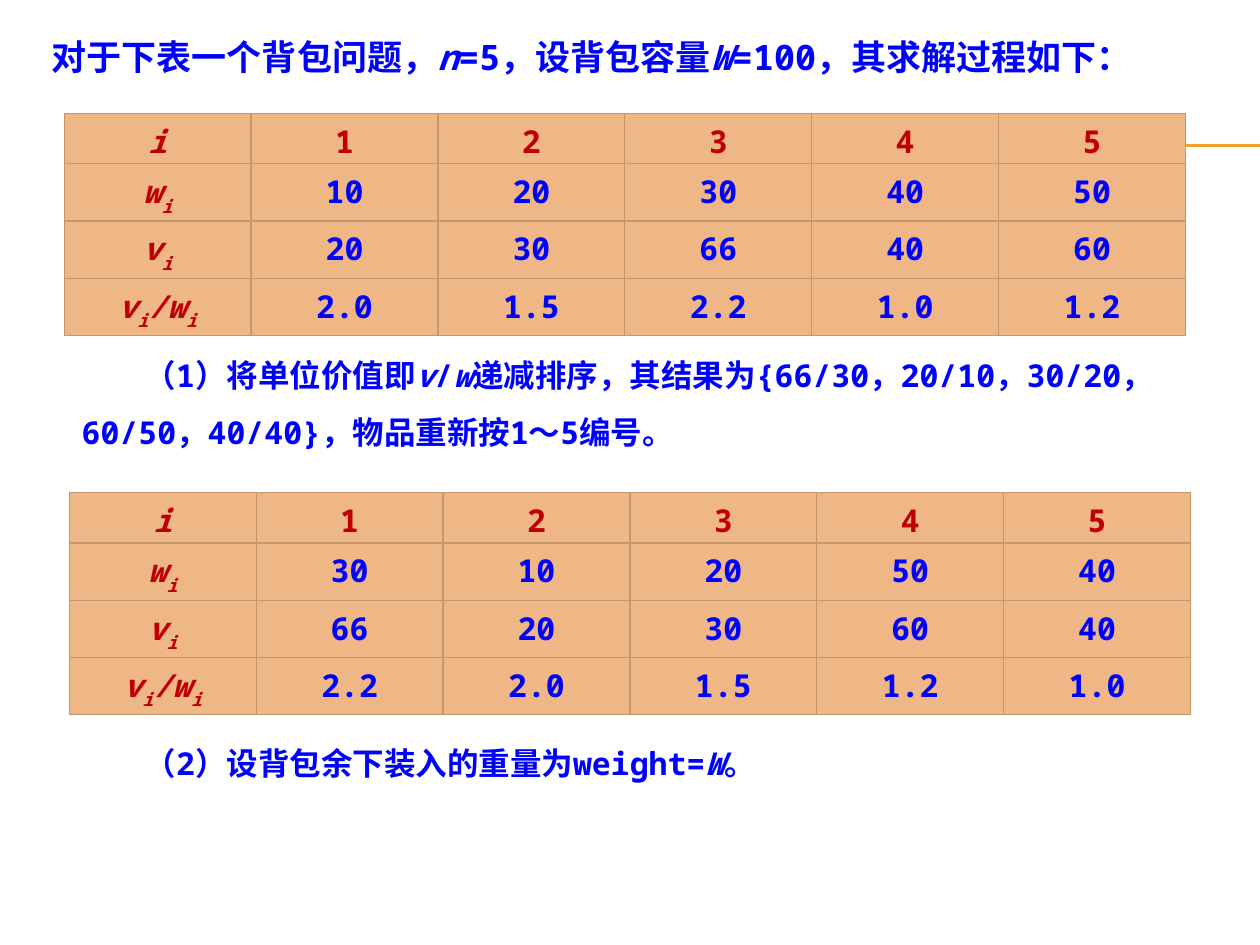
from lxml.etree import SubElement
from pptx import Presentation
from pptx.dml.color import RGBColor
from pptx.enum.shapes import MSO_CONNECTOR
from pptx.enum.text import MSO_ANCHOR, MSO_AUTO_SIZE, PP_ALIGN
from pptx.oxml.ns import qn
from pptx.util import Inches, Pt

BLUE, RED, PEACH, BROWN, GOLD = "0000FF", "C00000", "EFB686", "C3986D", "F0A22E"
FONT = "Noto Sans Mono"

# Text pieces alternate: upright, italic, upright, ...
HEADING = ("对于下表一个背包问题，", "n", "=5，设背包容量", "W", "=100，其求解过程如下：")
STEPS = [
    {"box": (0.55, 2.63, 9.13, 0.96), "spacing": 1.5,
     "pieces": ("（1）将单位价值即", "v", "/", "w",
                "递减排序，其结果为{66/30，20/10，30/20，60/50，40/40}，物品重新按1～5编号。")},
    {"box": (0.55, 5.86, 8.67, 0.4), "spacing": 1.0,
     "pieces": ("（2）设背包余下装入的重量为weight=", "W", "。")},
]

# Label pieces alternate: baseline, subscript, baseline, ...
ROW_LABELS = [("i",), ("w", "i"), ("v", "i"), ("v", "i", "/w", "i")]
ITEM_TABLES = [
    {"corner": (0.51, 0.9), "weights": (10, 20, 30, 40, 50), "values": (20, 30, 66, 40, 60)},
    {"corner": (0.55, 3.91), "weights": (30, 10, 20, 50, 40), "values": (66, 20, 30, 60, 40)},
]
TABLE_WIDTH, ROW_HEIGHT = 8.9, 0.4
RULE_LEFT, RULE_RIGHT, RULE_TOPS = 0.56, 10, (1.15, 1.16)


def rgb(hex_color):
    return RGBColor.from_string(hex_color)


def add_run(paragraph, text, size, color, italic=False, subscript=False):
    run = paragraph.add_run()
    run.text = text
    for name, value in {"name": FONT, "size": Pt(size), "bold": True, "italic": italic}.items():
        setattr(run.font, name, value)
    run.font.color.rgb = rgb(color)
    if subscript:
        run._r.get_or_add_rPr().set("baseline", "-30000")


def write_pieces(shape, pieces, size):
    frame = shape.text_frame
    settings = {"word_wrap": True, "auto_size": MSO_AUTO_SIZE.SHAPE_TO_FIT_TEXT,
                "vertical_anchor": MSO_ANCHOR.TOP}
    for name, value in settings.items():
        setattr(frame, name, value)
    paragraph = frame.paragraphs[0]
    paragraph.alignment = PP_ALIGN.LEFT
    for index, text in enumerate(pieces):
        add_run(paragraph, text, size, BLUE, italic=index % 2 == 1)
    return paragraph


def add_rule(slide, top):
    rule = slide.shapes.add_connector(MSO_CONNECTOR.STRAIGHT, Inches(RULE_LEFT), Inches(top),
                                      Inches(RULE_RIGHT), Inches(top))
    rule.line.color.rgb = rgb(GOLD)
    rule.line.width = Pt(0.75)
    SubElement(rule._element.spPr, qn("a:effectLst"))


def format_cell(cell):
    """Draw the four borders, then the fill, which must follow them in the XML."""
    properties = cell._tc.get_or_add_tcPr()
    for side in ("a:lnL", "a:lnR", "a:lnT", "a:lnB"):
        border = SubElement(properties, qn(side), w=str(Pt(0.79)))
        SubElement(SubElement(border, qn("a:solidFill")), qn("a:srgbClr"), val=BROWN)
    cell.fill.solid()
    cell.fill.fore_color.rgb = rgb(PEACH)


def add_item_table(slide, corner, weights, values):
    ratios = [f"{value / weight:.1f}" for value, weight in zip(values, weights)]
    rows = [range(1, len(weights) + 1), weights, values, ratios]
    left, top = corner
    table = slide.shapes.add_table(len(rows), len(weights) + 1, Inches(left), Inches(top),
                                   Inches(TABLE_WIDTH), Inches(ROW_HEIGHT * len(rows))).table
    for row, (label, numbers) in enumerate(zip(ROW_LABELS, rows)):
        for index, text in enumerate(label):
            add_run(table.cell(row, 0).text_frame.paragraphs[0], text, 18, RED,
                    italic=True, subscript=index % 2 == 1)
        for column, number in enumerate(numbers, start=1):
            add_run(table.cell(row, column).text_frame.paragraphs[0], str(number), 18,
                    BLUE if row else RED)
    for cell in table.iter_cells():
        cell.text_frame.paragraphs[0].alignment = PP_ALIGN.CENTER
        format_cell(cell)


def add_step(slide, box, spacing, pieces):
    step = slide.shapes.add_textbox(*map(Inches, box))
    paragraph = write_pieces(step, pieces, 18)
    paragraph.line_spacing = spacing
    paragraph._p.get_or_add_pPr().set("indent", str(Inches(0.5)))


def main():
    deck = Presentation()
    deck.slide_width, deck.slide_height = Inches(10), Inches(7.5)
    slide = deck.slides.add_slide(deck.slide_layouts[5])
    for top in RULE_TOPS:
        add_rule(slide, top)
    title = slide.shapes.title
    title.left, title.top, title.width, title.height = map(Inches, (0.31, 0.23, 9.29, 0.44))
    write_pieces(title, HEADING, 20)
    for item_table in ITEM_TABLES:
        add_item_table(slide, **item_table)
    for step in STEPS:
        add_step(slide, **step)
    deck.save("out.pptx")


if __name__ == "__main__":
    main()
